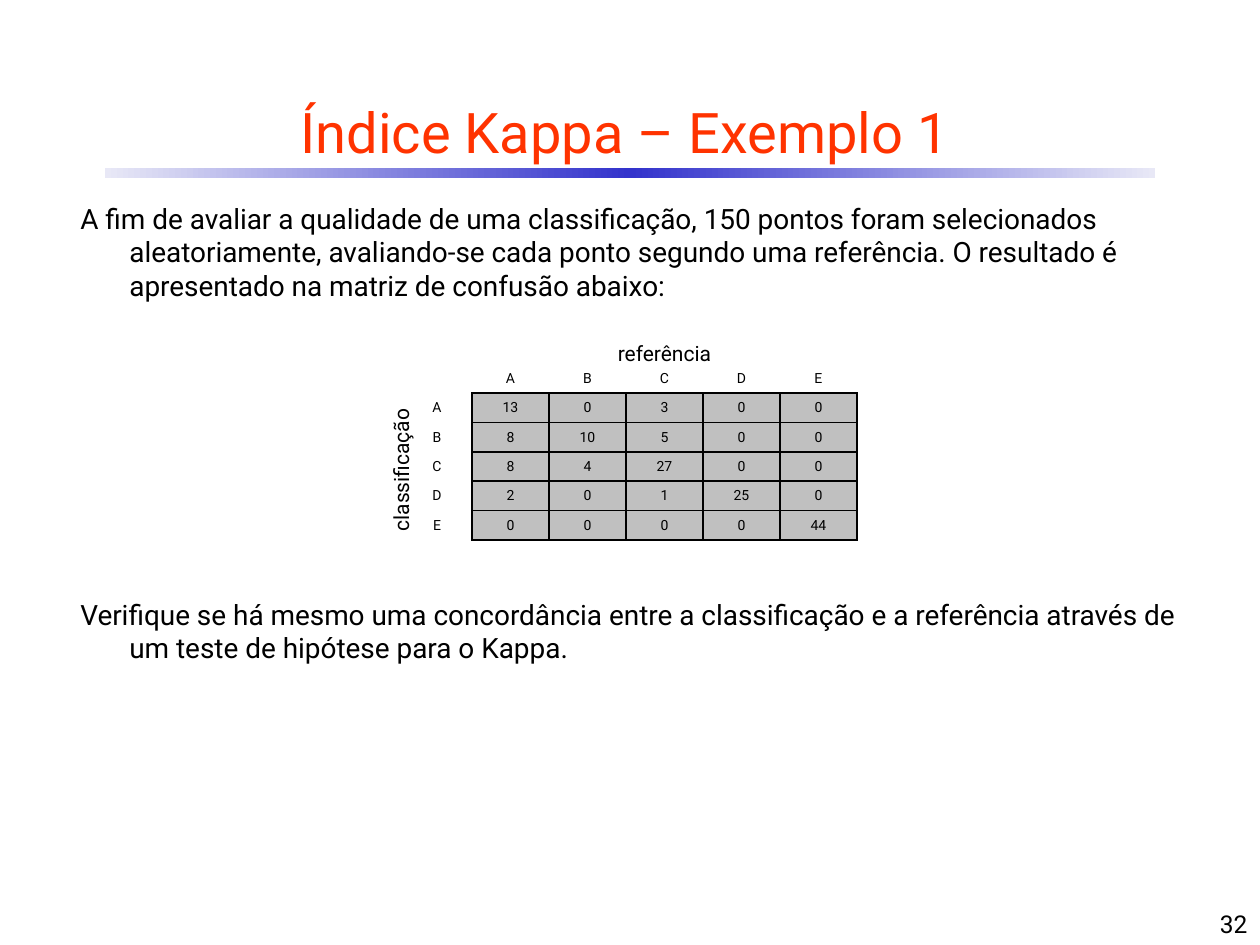
from copy import deepcopy

from lxml.etree import SubElement
from pptx import Presentation
from pptx.dml.color import RGBColor
from pptx.enum.shapes import MSO_SHAPE
from pptx.enum.text import MSO_ANCHOR, PP_ALIGN
from pptx.oxml.ns import qn
from pptx.util import Emu, Pt

SCALE = 914400 / 126  # EMU per px
FONT = "Roboto"
BLACK = RGBColor(0x00, 0x00, 0x00)
ORANGE = RGBColor(0xFF, 0x33, 0x00)
BLUE = RGBColor(0x33, 0x33, 0xCC)
PALE = RGBColor(0xE8, 0xE8, 0xF6)
GRAY = RGBColor(0xC0, 0xC0, 0xC0)

CLASSES = "ABCDE"
COUNTS = [
    [13, 0, 3, 0, 0],
    [8, 10, 5, 0, 0],
    [8, 4, 27, 0, 0],
    [2, 0, 1, 25, 0],
    [0, 0, 0, 0, 44],
]
INTRO = ("A fim de avaliar a qualidade de uma classificação, 150 pontos foram "
         "selecionados aleatoriamente, avaliando-se cada ponto segundo uma "
         "referência. O resultado é apresentado na matriz de confusão abaixo:")
TASK = ("Verifique se há mesmo uma concordância entre a classificação e a "
        "referência através de um teste de hipótese para o Kappa.")


def px(n):
    return Emu(round(n * SCALE))


def write(p, text, size, color=BLACK, align=PP_ALIGN.LEFT):
    p.alignment = align
    r = p.add_run()
    r.text = text
    for name, value in {"name": FONT, "size": Pt(size)}.items():
        setattr(r.font, name, value)
    r.font.color.rgb = color


def add_text(s, box, text, size, color=BLACK, align=PP_ALIGN.LEFT,
             anchor=MSO_ANCHOR.TOP, hang=0):
    sp = s.shapes.add_textbox(*map(px, box))
    tf = sp.text_frame
    for name, value in {"word_wrap": True, "vertical_anchor": anchor}.items():
        setattr(tf, name, value)
    p = tf.paragraphs[0]
    write(p, text, size, color, align)
    if hang:
        pPr = p._p.get_or_add_pPr()
        pPr.set("marL", str(px(hang)))
        pPr.set("indent", str(-px(hang)))
    return sp


def add_header(s, x, y, w, h):
    # Gradient rule under the title
    sp = s.shapes.add_shape(MSO_SHAPE.RECTANGLE, px(x + 63), px(y + 84), px(1050), px(10))
    sp.shadow.inherit = False
    sp.line.fill.background()
    sp.fill.gradient()
    sp.fill.gradient_angle = 0
    last = sp._element.spPr.find(".//" + qn("a:gsLst"))[-1]
    last.addnext(deepcopy(last))
    stops = zip(sp.fill.gradient_stops, (0, 0.5, 1), (PALE, BLUE, PALE))
    for stop, position, color in stops:
        stop.position = position
        stop.color.rgb = color
    # Title
    add_text(s, (x, y, w, h), "Índice Kappa – Exemplo 1", 32, ORANGE,
             PP_ALIGN.CENTER, MSO_ANCHOR.MIDDLE)


def set_borders(cell, sides):
    tcPr = cell._tc.get_or_add_tcPr()
    for side in "LRTB":
        ln = SubElement(tcPr, qn(f"a:ln{side}"), w=str(Pt(1)))
        if side in sides:
            fill = SubElement(ln, qn("a:solidFill"))
            SubElement(fill, qn("a:srgbClr"), val=str(BLACK))
        else:
            SubElement(ln, qn("a:noFill"))


def add_matrix(s, x, y, w, h):
    n = len(CLASSES)
    label_w, head_h = 70, 63
    table = s.shapes.add_table(n + 1, n + 1, px(x), px(y), px(w), px(h)).table
    table.first_row = table.horz_banding = False
    for i in range(n + 1):
        table.columns[i].width = px((w - label_w) / n if i else label_w)
        table.rows[i].height = px((h - head_h) / n if i else head_h)

    # Header row, then one labelled row per class
    rows = [["", *CLASSES]] + [[c, *counts] for c, counts in zip(CLASSES, COUNTS)]
    for i, row in enumerate(rows):
        for j, value in enumerate(row):
            cell = table.cell(i, j)
            cell.vertical_anchor = MSO_ANCHOR.BOTTOM
            if i or j:
                write(cell.text_frame.paragraphs[0], str(value), 8, align=PP_ALIGN.CENTER)
            if i and j:
                set_borders(cell, "LRTB")
                cell.fill.solid()
                cell.fill.fore_color.rgb = GRAY
            else:
                set_borders(cell, "R" if i else "B" if j else "")
                cell.fill.background()

    # Axis names
    add_text(s, (x + label_w, y + 4, w - label_w, 38), "referência", 12,
             align=PP_ALIGN.CENTER)
    side = add_text(s, (x - 82, y + 121, 162, 38), "classificação", 12,
                    align=PP_ALIGN.CENTER)
    side.rotation = 270


def add_body(s, x, y, w):
    for top, height, text in ((0, 115, INTRO), (396, 81, TASK)):
        add_text(s, (x, y + top, w, height), text, 16, hang=49)


def main():
    prs = Presentation()
    prs.slide_width, prs.slide_height = px(1260), px(945)
    s = prs.slides.add_slide(prs.slide_layouts[6])
    add_header(s, 42, 84, 1166, 95)
    add_matrix(s, 402, 330, 455, 210)
    add_body(s, 68, 195, 1132)
    # Page number
    add_text(s, (998, 882, 262, 63), "32", 14, align=PP_ALIGN.RIGHT,
             anchor=MSO_ANCHOR.BOTTOM)
    prs.save("out.pptx")


if __name__ == "__main__":
    main()
